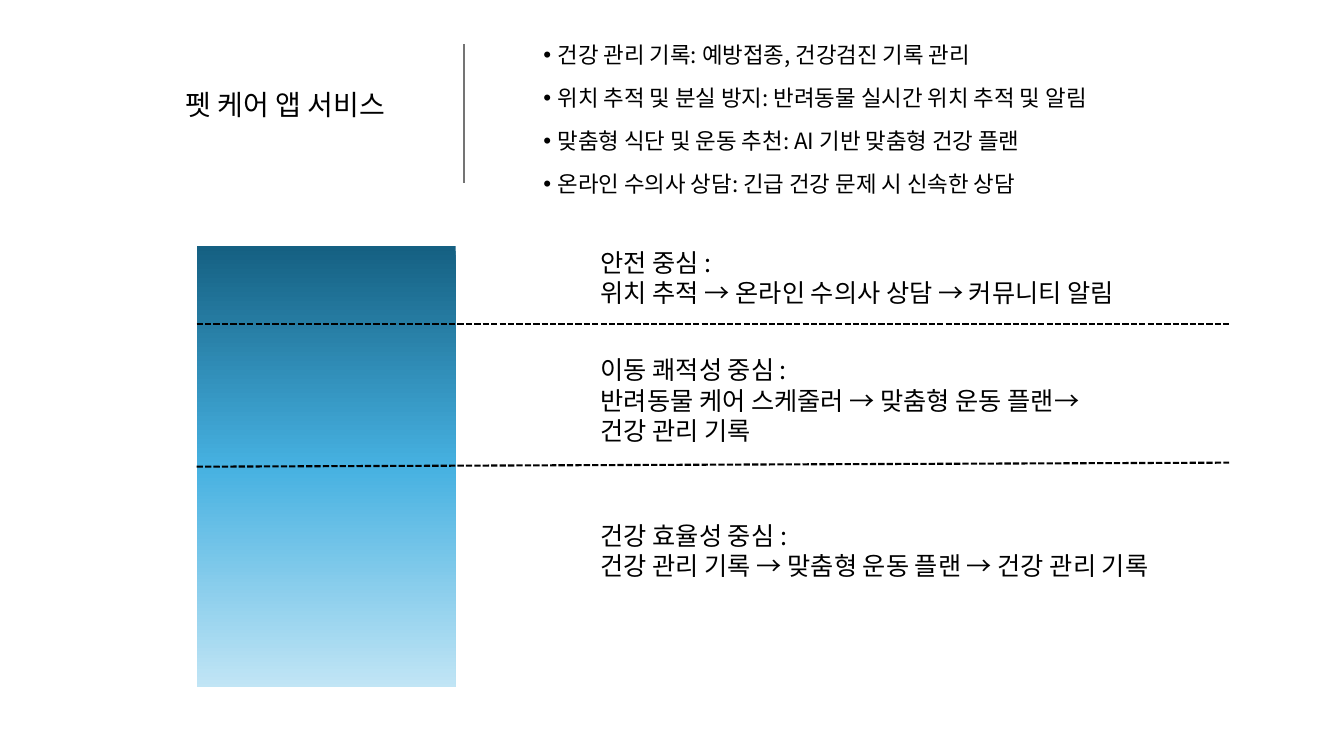
from lxml.etree import SubElement
from pptx import Presentation
from pptx.dml.color import RGBColor as RGB
from pptx.enum.dml import MSO_LINE as Dash
from pptx.enum.shapes import MSO_CONNECTOR as Conn, MSO_SHAPE as Shape
from pptx.enum.text import MSO_ANCHOR as Anchor, MSO_AUTO_SIZE as Fit, PP_ALIGN as Align
from pptx.oxml.ns import qn
from pptx.util import Inches, Pt

FONT = "Noto Sans CJK KR"
COLORS = {"text": "000000", "rule": "747474",
          "deep": "156082", "mid": "46B1E1", "pale": "C1E5F5"}

TITLE = "펫 케어 앱 서비스"
POINTS = [
    "건강 관리 기록: 예방접종, 건강검진 기록 관리",
    "위치 추적 및 분실 방지: 반려동물 실시간 위치 추적 및 알림",
    "맞춤형 식단 및 운동 추천: AI 기반 맞춤형 건강 플랜",
    "온라인 수의사 상담: 긴급 건강 문제 시 신속한 상담",
]
# Top offset inside the panel, width, height, lines
FLOWS = [
    (-0.04, 6.18, 0.71, ["안전 중심 :", "위치 추적 → 온라인 수의사 상담 → 커뮤니티 알림"]),
    (1.03, 5.37, 1.01, ["이동 쾌적성 중심 :",
                        "반려동물 케어 스케줄러 → 맞춤형 운동 플랜→ 건강 관리 기록"]),
    (2.67, 6.32, 0.71, ["건강 효율성 중심 :", "건강 관리 기록 → 맞춤형 운동 플랜 → 건강 관리 기록"]),
]


def place(shape, x, y, w, h):
    shape.left, shape.top, shape.width, shape.height = map(Inches, (x, y, w, h))


def write(shape, lines, size=18, color="text", align=Align.LEFT, space=1.0, bullet=None):
    frame = shape.text_frame
    frame.word_wrap = True
    frame.auto_size = Fit.NONE
    frame.vertical_anchor = Anchor.TOP
    for i, line in enumerate(lines):
        para = frame.add_paragraph() if i else frame.paragraphs[0]
        para.alignment = align
        para.line_spacing = space
        para.space_before = Pt(0)
        run = para.add_run()
        run.text = line
        run.font.size = Pt(size)
        run.font.name = FONT
        run.font.color.rgb = RGB.from_string(COLORS[color])
        SubElement(run._r.get_or_add_rPr(), qn("a:ea"), typeface=FONT)
        if bullet:
            props = para._p.get_or_add_pPr()
            props.set("marL", str(Inches(0.14)))
            props.set("indent", str(-Inches(0.14)))
            SubElement(props, qn("a:buChar"), char=bullet)


def rule(slide, x1, y1, x2, y2, color="text", dash=None):
    line = slide.shapes.add_connector(Conn.STRAIGHT, *map(Inches, (x1, y1, x2, y2)))
    line.line.color.rgb = RGB.from_string(COLORS[color])
    line.line.width = Pt(1.5)
    if dash:
        line.line.dash_style = dash
    SubElement(line._element.spPr, qn("a:effectLst"))


def header(slide, x, y):
    # Title, upright rule and feature list
    title, body = slide.placeholders
    place(title, x, y + 0.62, 2.8, 0.44)
    write(title, [TITLE], size=20)
    rule(slide, x + 2.86, y + 0.24, x + 2.86, y + 1.62, color="rule")
    place(body, x + 3.55, y, 6.74, 2.13)
    write(body, POINTS, size=16, align=Align.JUSTIFY, space=1.6, bullet="•")


def fade(shape):
    # Three-stop gradient, dark at the top
    shape.fill.gradient()
    shape.fill.gradient_angle = 270
    stops = shape.fill._fill._gradFill.find(qn("a:gsLst"))
    for old in list(stops):
        stops.remove(old)
    for pos, name in ((0, "deep"), (50000, "mid"), (100000, "pale")):
        stop = SubElement(stops, qn("a:gs"), pos=str(pos))
        SubElement(stop, qn("a:srgbClr"), val=COLORS[name])


def panel(slide, x, y, w, h):
    # Gradient bar
    bar = slide.shapes.add_shape(Shape.RECTANGLE, *map(Inches, (x, y, 2.57, h)))
    bar.shadow.inherit = False
    bar.line.fill.background()
    fade(bar)
    # Dashed dividers
    for start, end in ((0.77, 0.77), (2.19, 2.15)):
        rule(slide, x, y + start, x + w, y + end, dash=Dash.SQUARE_DOT)
    # Service flows
    for top, wide, high, lines in FLOWS:
        box = slide.shapes.add_textbox(*map(Inches, (x + 3.91, y + top, wide, high)))
        write(box, lines)


def main():
    deck = Presentation()
    deck.slide_width, deck.slide_height = Inches(13.33), Inches(7.5)
    slide = deck.slides.add_slide(deck.slide_layouts[1])
    header(slide, 1.74, 0.2)
    panel(slide, 1.95, 2.44, 10.24, 4.38)
    deck.save("out.pptx")


if __name__ == "__main__":
    main()
